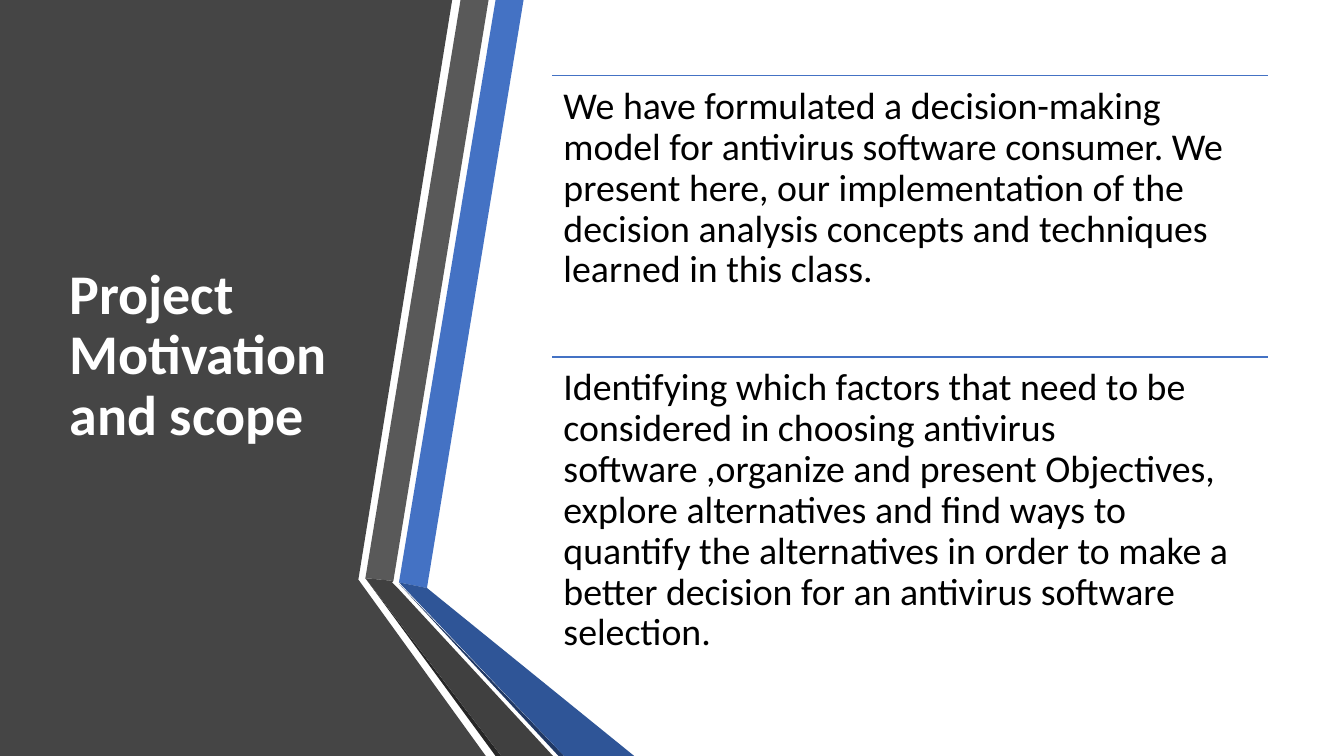
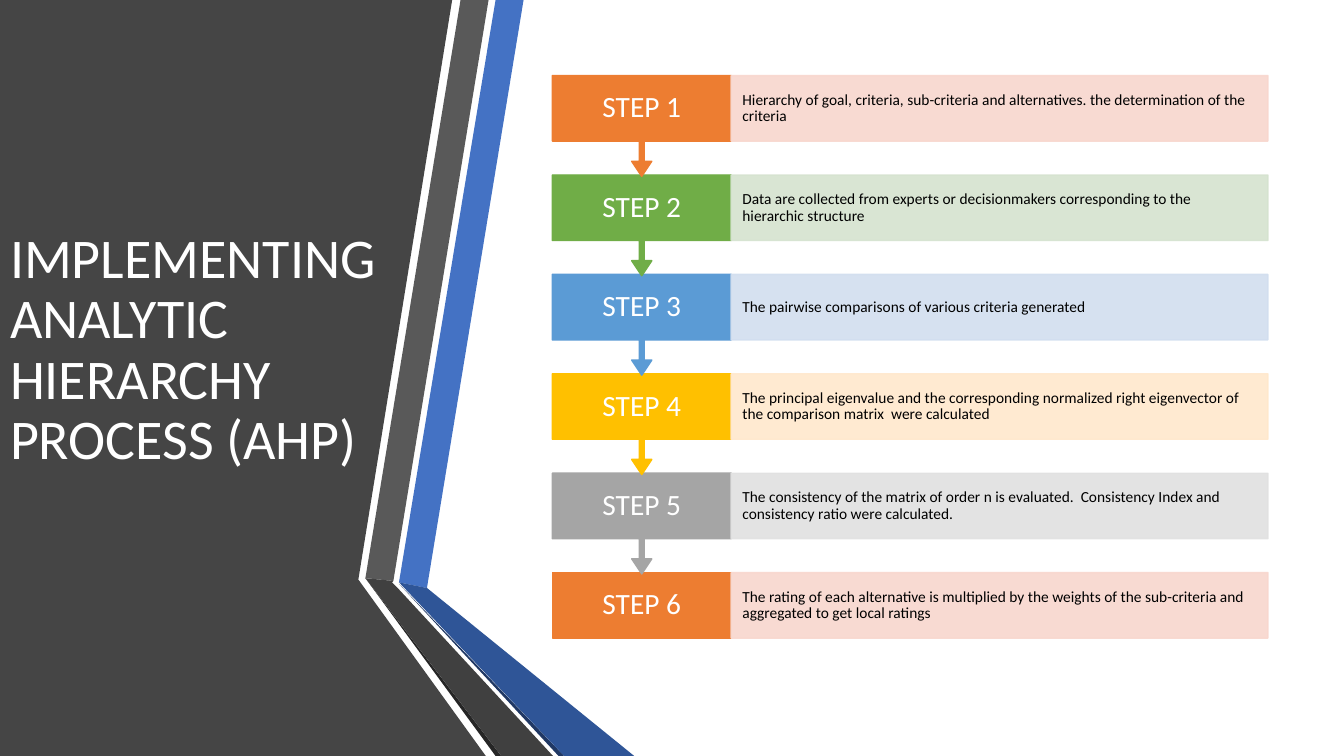
from lxml.etree import SubElement
from pptx import Presentation
from pptx.dml.color import RGBColor
from pptx.enum.shapes import MSO_CONNECTOR, MSO_SHAPE
from pptx.enum.text import MSO_ANCHOR, MSO_AUTO_SIZE, PP_ALIGN
from pptx.oxml.ns import qn
from pptx.util import Pt

FONT = "Calibri"
COLORS = {
    "panel": "454545", "blue": "4472C4", "blue_fold": "2F5597", "navy": "203864",
    "gray": "595959", "gray_fold": "404040", "black_edge": "262626",
    "white": "FFFFFF", "text": "000000",
    "orange": "ED7D31", "orange_tint": "F8D7CE",
    "green": "70AD47", "green_tint": "D5E3CF",
    "sky": "5B9BD5", "sky_tint": "D2DEEF",
    "gold": "FFC000", "gold_tint": "FFE8CC",
    "silver": "A5A5A5", "silver_tint": "E1E1E1",
}
SLIDE_WIDTH, SLIDE_HEIGHT = 960, 540
CONTENT_BOX = (394.5, 54, 511.2, 401.8)
RIBBONS = [
    ("panel", [(0, 0), (323.3, 0), (256.3, 414.5), (347, 540), (0, 540)]),
    ("blue", [(285.1, 416.2), (304.6, 419.8), (373.7, 0), (353.5, 0)]),
    ("gray", [(349.2, 0), (329, 0), (261.4, 412.6), (280.8, 415.4)]),
    ("black_edge", [(261.4, 412.6), (353.5, 540), (357.8, 540)]),
    ("navy", [(285.1, 416.9), (398.9, 540), (403.2, 540)]),
    ("blue_fold", [(285.1, 416.2), (403.2, 540), (452.9, 540), (304.6, 419.8)]),
    ("gray_fold", [(394.6, 540), (284.4, 419.8), (280.1, 416.2), (280.8, 415.4),
                   (261.4, 412.6), (357.8, 540)]),
]
STATEMENTS = [
    "We have formulated a decision-making model for antivirus software consumer. We present "
    "here, our implementation of the decision analysis concepts and techniques learned in this class.",
    "Identifying which factors that need to be considered in choosing antivirus software ,organize "
    "and present Objectives, explore alternatives and find ways to quantify the alternatives in "
    "order to make a better decision for an antivirus software selection.",
]
STEPS = [
    ("orange", "Hierarchy of goal, criteria, sub-criteria and alternatives. the determination of the criteria"),
    ("green", "Data are collected from experts or decisionmakers corresponding to the hierarchic structure"),
    ("sky", "The pairwise comparisons of various criteria generated"),
    ("gold", "The principal eigenvalue and the corresponding normalized right eigenvector of the "
             "comparison matrix  were calculated"),
    ("silver", "The consistency of the matrix of order n is evaluated.  Consistency Index and "
               "consistency ratio were calculated."),
    ("orange", "The rating of each alternative is multiplied by the weights of the sub-criteria "
               "and aggregated to get local ratings"),
]


def rgb(name):
    """Return the named colour."""
    return RGBColor.from_string(COLORS[name])


def place(shape, left, top, width, height):
    """Move and size a shape in points."""
    shape.left, shape.top, shape.width, shape.height = map(Pt, (left, top, width, height))


def write_text(shape, text, size, color="text", bold=False, align=PP_ALIGN.LEFT,
               anchor=MSO_ANCHOR.MIDDLE, inset_x=8, inset_y=0):
    """Fill a shape with one formatted paragraph."""
    frame = shape.text_frame
    frame.text = text
    frame.word_wrap = True
    frame.auto_size = MSO_AUTO_SIZE.NONE
    frame.vertical_anchor = anchor
    frame.margin_left = frame.margin_right = Pt(inset_x)
    frame.margin_top = frame.margin_bottom = Pt(inset_y)
    paragraph = frame.paragraphs[0]
    paragraph.alignment = align
    paragraph.line_spacing = 0.9
    paragraph.space_before = Pt(0)
    for run in paragraph.runs:
        run.font.name = FONT
        run.font.size = Pt(size)
        run.font.bold = bold
        run.font.color.rgb = rgb(color)


def paint(shape, color, outline=True, opacity=None):
    """Give a shape a flat fill and an optional matching outline."""
    shape.shadow.inherit = False
    shape.fill.solid()
    shape.fill.fore_color.rgb = rgb(color)
    if outline:
        shape.line.color.rgb = rgb(color)
        shape.line.width = Pt(1)
    else:
        shape.line.fill.background()
    if opacity is not None:
        for color_element in shape.element.spPr.iter(qn("a:srgbClr")):
            SubElement(color_element, qn("a:alpha"), val=str(opacity * 1000))


def add_ribbons(slide):
    """Draw the dark side panel and its folded ribbons."""
    for color, points in RIBBONS:
        builder = slide.shapes.build_freeform(*points[0], scale=Pt(1))
        builder.add_line_segments(points[1:], close=True)
        paint(builder.convert_to_shape(), color, outline=False)


def add_base_slide(presentation, layout_index, title, title_box, bold=False):
    """Add a slide with the side panel and its title in front."""
    slide = presentation.slides.add_slide(presentation.slide_layouts[layout_index])
    add_ribbons(slide)
    heading = slide.shapes.title
    place(heading, *title_box)
    write_text(heading, title, 40, color="white", bold=bold, inset_x=7.2, inset_y=3.6)
    heading.element.getparent().append(heading.element)
    return slide


def add_rule(slide, left, top, width):
    """Draw a thin horizontal rule."""
    rule = slide.shapes.add_connector(
        MSO_CONNECTOR.STRAIGHT, Pt(left), Pt(top), Pt(left + width), Pt(top))
    rule.line.color.rgb = rgb("blue")
    rule.line.width = Pt(1)
    SubElement(rule.element.spPr, qn("a:effectLst"))


def add_statements(slide, box, statements):
    """Stack ruled statements evenly in the box."""
    left, top, width, height = box
    row_height = height / len(statements)
    bodies = [shape for shape in slide.placeholders if shape.placeholder_format.idx]
    for index, (body, statement) in enumerate(zip(bodies, statements)):
        row_top = top + index * row_height
        add_rule(slide, left, row_top, width)
        place(body, left, row_top, width, row_height)
        write_text(body, statement, 27, anchor=MSO_ANCHOR.TOP, inset_y=8)
        properties = body.text_frame.paragraphs[0]._p.get_or_add_pPr()
        properties.set("marL", "0")
        properties.set("indent", "0")
        SubElement(properties, qn("a:buNone"))


def add_steps(slide, box, steps):
    """Stack step labels, each pointing down to the next, beside their descriptions."""
    left, top, width, height = box
    label_width, row_height, callout_height = width / 4, 46.8, 72
    pitch = (height - row_height) / (len(steps) - 1)
    for number in range(len(steps), 0, -1):
        color, description = steps[number - 1]
        row_top = top + (number - 1) * pitch
        is_last = number == len(steps)
        label = slide.shapes.add_shape(
            MSO_SHAPE.RECTANGLE if is_last else MSO_SHAPE.DOWN_ARROW_CALLOUT, 0, 0, 0, 0)
        place(label, left, row_top, label_width, row_height if is_last else callout_height)
        if not is_last:
            for index, value in enumerate((0.05, 0.1, 0.15, 0.65)):
                label.adjustments[index] = value
        paint(label, color)
        write_text(label, f"STEP {number}", 21, color="white", align=PP_ALIGN.CENTER)
        detail = slide.shapes.add_shape(MSO_SHAPE.RECTANGLE, 0, 0, 0, 0)
        place(detail, left + label_width, row_top, width - label_width, row_height)
        paint(detail, f"{color}_tint", opacity=90)
        write_text(detail, description, 11)


def main():
    """Build and save the presentation."""
    presentation = Presentation()
    presentation.slide_width, presentation.slide_height = Pt(SLIDE_WIDTH), Pt(SLIDE_HEIGHT)
    motivation = add_base_slide(presentation, 3, "Project Motivation and scope",
                                (42.5, 54, 219, 401.8), bold=True)
    add_statements(motivation, CONTENT_BOX, STATEMENTS)
    process = add_base_slide(presentation, 5, "IMPLEMENTING\vANALYTIC HIERARCHY PROCESS (AHP)",
                             (0, 49.7, 281.5, 401.8))
    add_steps(process, CONTENT_BOX, STEPS)
    presentation.save("out.pptx")


if __name__ == "__main__":
    main()
